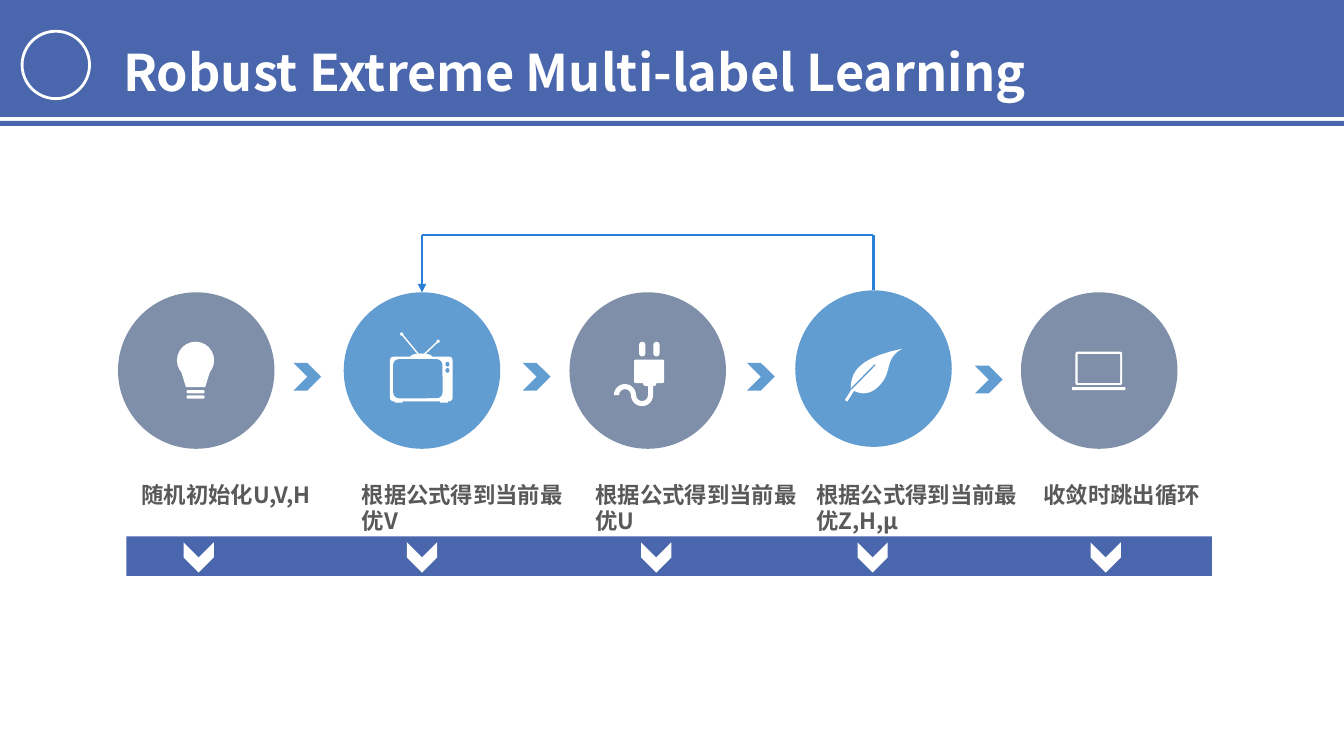
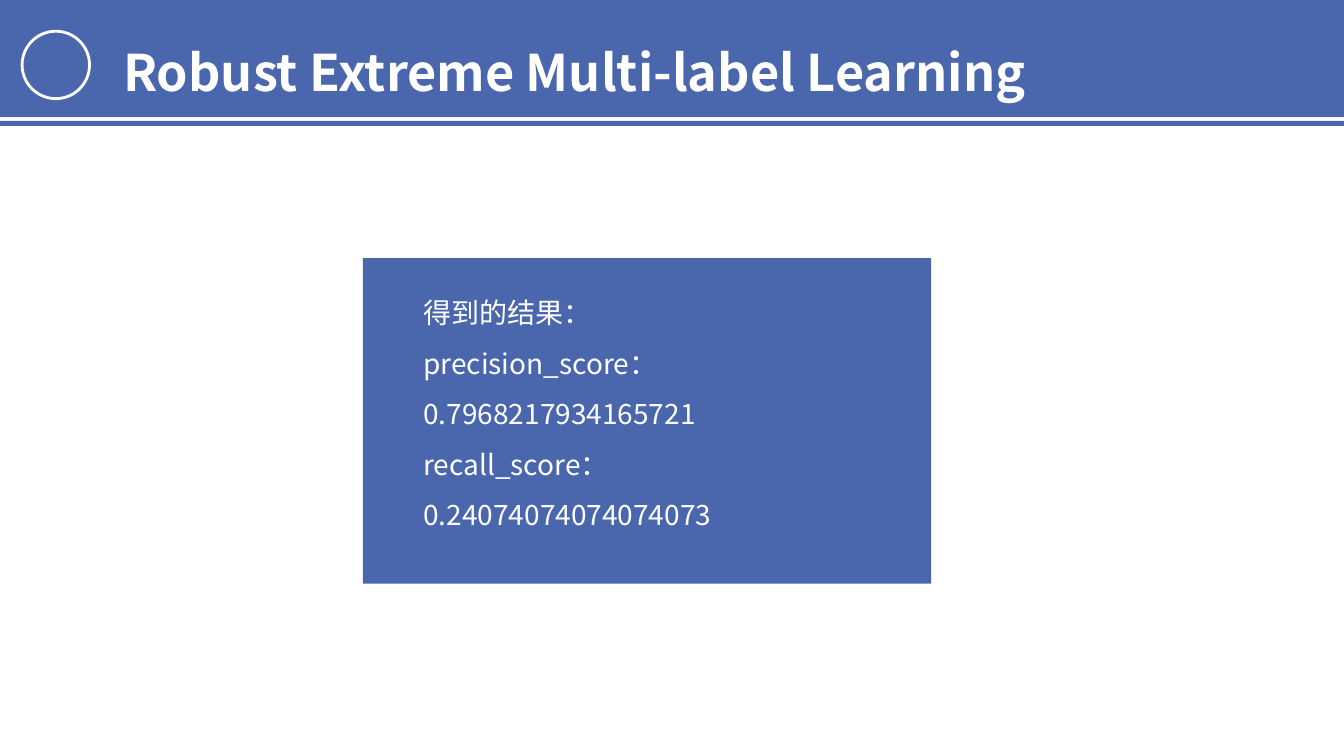
import collections
import pptx
import pptx.util
import pptx.dml.color
import pptx.enum.shapes
import pptx.enum.text
import pptx.oxml.ns
import lxml.etree

Pt = pptx.util.Pt
RGBColor = pptx.dml.color.RGBColor
KIND = pptx.enum.shapes.MSO_SHAPE
STRAIGHT = pptx.enum.shapes.MSO_CONNECTOR.STRAIGHT
qn = pptx.oxml.ns.qn

INDIGO = RGBColor(0x4A, 0x66, 0xAC)
SLATE = RGBColor(0x7F, 0x8F, 0xA9)
SKY = RGBColor(0x62, 0x9D, 0xD1)
LOOP_BLUE = RGBColor(0x29, 0x7F, 0xD5)
GREY = RGBColor(0x59, 0x59, 0x59)
WHITE = RGBColor(0xFF, 0xFF, 0xFF)
FONT = "Noto Sans CJK SC"
TITLE = "Robust Extreme Multi-label Learning"
SLIDE_WIDTH, SLIDE_HEIGHT = 960, 540

FRAME_FORMAT = {
    "word_wrap": True,
    "auto_size": pptx.enum.text.MSO_AUTO_SIZE.NONE,
    "vertical_anchor": pptx.enum.text.MSO_ANCHOR.TOP,
    "margin_left": Pt(7.2),
    "margin_right": Pt(7.2),
    "margin_top": Pt(3.6),
    "margin_bottom": Pt(3.6),
}


def draw(shapes, kind, center_x, center_y, width, height, fill, adjustment=None, rotation=0):
    left, top = center_x - width / 2, center_y - height / 2
    shape = shapes.add_shape(kind, Pt(left), Pt(top), Pt(width), Pt(height))
    shape.shadow.inherit = False
    shape.fill.solid()
    shape.fill.fore_color.rgb = fill
    shape.line.fill.background()
    shape.rotation = rotation
    if adjustment is not None:
        shape.adjustments[0] = adjustment
    return shape


def write(frame, lines, size, color, bold=False, spacing=1.0, **margins):
    for name, value in {**FRAME_FORMAT, **margins}.items():
        setattr(frame, name, value)
    frame.text = "\n".join(lines)
    paragraph_format = {
        "alignment": pptx.enum.text.PP_ALIGN.LEFT,
        "line_spacing": spacing,
        "space_before": Pt(0),
    }
    for paragraph in frame.paragraphs:
        for name, value in paragraph_format.items():
            setattr(paragraph, name, value)
        run = paragraph.runs[0]
        for name, value in {"name": FONT, "size": Pt(size), "bold": bold}.items():
            setattr(run.font, name, value)
        run.font.color.rgb = color
        lxml.etree.SubElement(run._r.get_or_add_rPr(), qn("a:ea")).set("typeface", FONT)


deck = pptx.Presentation()
deck.slide_width, deck.slide_height = Pt(SLIDE_WIDTH), Pt(SLIDE_HEIGHT)
process = deck.slides.add_slide(deck.slide_layouts[5])
results = deck.slides.add_slide(deck.slide_layouts[1])
shapes = process.shapes
master = deck.slide_master

band = draw(shapes, KIND.RECTANGLE, SLIDE_WIDTH / 2, 41.75, SLIDE_WIDTH, 83.5, INDIGO)
rule = draw(shapes, KIND.RECTANGLE, SLIDE_WIDTH / 2, 88.2, SLIDE_WIDTH, 3.6, INDIGO)
badge = draw(shapes, KIND.OVAL, 39.9, 46.4, 48.2, 48.2, INDIGO)
badge.line.color.rgb = WHITE
badge.line.width = Pt(2)
for order, part in enumerate((band, rule, badge)):
    part.element.xpath(".//p:cNvPr")[0].set("id", str(100 + order))
    master.shapes.element.insert(2 + order, part.element)

title_place = {"left": Pt(80.8), "top": Pt(4.3), "width": Pt(720), "height": Pt(66.2)}
for placeholder in master.placeholders:
    if placeholder.placeholder_format.type == pptx.enum.shapes.PP_PLACEHOLDER.TITLE:
        for name, value in title_place.items():
            setattr(placeholder, name, value)
for slide in deck.slides:
    write(slide.shapes.title.text_frame, [TITLE], 36, WHITE, bold=True, spacing=1.5)

FIRST_CENTER, STEP_PITCH, STEP_MIDDLE, DIAMETER = 140.2, 161.25, 264.7, 111.8
NEXT_SIZE, NEXT_MIDDLE = 19.8, 269.1
BAR_MIDDLE, MARKER_SIZE = 397.3, 21.6

draw(shapes, KIND.RECTANGLE, 478, BAR_MIDDLE, 775.5, 28.2, INDIGO)

Step = collections.namedtuple("Step", "caption caption_left marker_x fill rise next_x next_drop")
steps = [
    Step("随机初始化U,V,H", 94, 141.9, SLATE, 0, 219.5, 0),
    Step("根据公式得到当前最优V", 251.3, 301.4, SKY, 0, 383.3, 0),
    Step("根据公式得到当前最优U", 418.3, 468.7, SLATE, 0, 543.5, 0),
    Step("根据公式得到当前最优Z,H,μ", 576, 623.3, SKY, 1.4, 706.3, 2),
    Step("收敛时跳出循环", 738.3, 789.8, SLATE, 0, None, 0),
]
circles, centers = [], []
for index, step in enumerate(steps):
    center = FIRST_CENTER + STEP_PITCH * index, STEP_MIDDLE - step.rise
    centers.append(center)
    circles.append(draw(shapes, KIND.OVAL, *center, DIAMETER, DIAMETER, step.fill))
    caption = shapes.add_textbox(Pt(step.caption_left), Pt(339.8), Pt(162.7), Pt(46))
    write(caption.text_frame, [step.caption], 16, GREY, bold=True)
    draw(shapes, KIND.CHEVRON, step.marker_x, BAR_MIDDLE + 0.9, MARKER_SIZE, MARKER_SIZE,
         WHITE, rotation=90)
    if step.next_x:
        draw(shapes, KIND.CHEVRON, step.next_x, NEXT_MIDDLE + step.next_drop,
             NEXT_SIZE, NEXT_SIZE, SKY)

bulb, television, plug, leaf, laptop = centers
links = []

x, y = bulb
draw(shapes, KIND.OVAL, x - 0.5, y - 7.3, 26.6, 26.6, WHITE)
draw(shapes, KIND.FLOWCHART_MANUAL_OPERATION, x - 0.5, y + 4.3, 23, 15, WHITE)
for thread in range(2):
    draw(shapes, KIND.ROUNDED_RECTANGLE, x - 0.5, y + 15.1 + 3.8 * thread, 13, 2.4, WHITE, 0.5)

x, y = television
for tip_x, tip_y, root_x in ((-14.5, -26.1, -2), (11.5, -20.9, 1)):
    draw(shapes, KIND.OVAL, x + tip_x, y + tip_y, 2.3, 2.3, WHITE)
    links.append(((x + tip_x, y + tip_y), (x + root_x, y - 11), WHITE, 1))
draw(shapes, KIND.OVAL, x - 0.5, y - 9.7, 16, 5, WHITE)
draw(shapes, KIND.ROUNDED_RECTANGLE, x - 0.5, y + 6, 44.8, 32, WHITE, 0.08)
draw(shapes, KIND.ROUNDED_RECTANGLE, x - 3, y + 5.8, 35.3, 28, SKY, 0.15)
for side in (-1, 1):
    draw(shapes, KIND.OVAL, x + 18.2, y - 2.3 + 2.2 * side, 2.9, 3.4, SKY)
    draw(shapes, KIND.RECTANGLE, x - 0.5 + 16.2 * side, y + 22.3, 5.6, 1.2, WHITE)

x, y = plug
for side in (-1, 1):
    draw(shapes, KIND.ROUNDED_RECTANGLE, x + 1.1 + 5.1 * side, y - 15.3, 4.5, 10.5, WHITE, 0.5)
draw(shapes, KIND.ROUNDED_RECTANGLE, x + 1, y + 0.5, 21.6, 16.8, WHITE, 0.08)
draw(shapes, KIND.ROUNDED_RECTANGLE, x + 1.4, y + 8.9, 9.4, 4.3, WHITE, 0.4)
CORD, BEND = 3.6, 12.2
ring, cord_x, cord_y = BEND + CORD, x + 2, y + 17.5
draw(shapes, KIND.RECTANGLE, cord_x, cord_y - 4, CORD, 8.2, WHITE)
for bend, rotation in enumerate((180, 0)):
    half_ring = draw(shapes, KIND.BLOCK_ARC, cord_x - BEND * (bend + 0.5), cord_y, ring, ring,
                     WHITE, rotation=rotation)
    half_ring.adjustments[2] = CORD / ring

x, y = leaf
tip, base, belly = (20.4, -14.2), (-16.3, 14.6), (4.6, 11.7)
leaf_edges = [
    (tip, (-10.6, -7.7), (-16.3, 2.4), base),
    (base, (-8, 20), (-1, 17.8), belly),
    (belly, (13.9, 1.7), (7.4, -7), tip),
]
rim = []
for edge in leaf_edges:
    for tick in range(1, 11):
        t = tick / 10
        weights = (1 - t) ** 3, 3 * t * (1 - t) ** 2, 3 * t * t * (1 - t), t ** 3
        dx, dy = (sum(w * v for w, v in zip(weights, axis)) for axis in zip(*edge))
        rim.append((Pt(x + dx), Pt(y + dy)))
builder = shapes.build_freeform(*rim[-1])
builder.add_line_segments(rim, close=True)
blade = builder.convert_to_shape()
blade.shadow.inherit = False
blade.fill.solid()
blade.fill.fore_color.rgb = WHITE
blade.line.fill.background()
links.append(((x - 16.3, y + 15), (x + 1, y - 2.7), SKY, 1))
links.append(((x - 19.6, y + 23), (x - 14.6, y + 15), WHITE, 2))

x, y = laptop
draw(shapes, KIND.ROUNDED_RECTANGLE, x - 0.3, y - 1.6, 33.4, 23.8, WHITE, 0.06)
draw(shapes, KIND.RECTANGLE, x - 0.3, y - 1.5, 30.4, 20.6, SLATE)
draw(shapes, KIND.RECTANGLE, x - 0.3, y + 12.9, 38, 2.3, WHITE)

LOOP_TOP = 167.8
loop_to, loop_from = (television[0], LOOP_TOP), (leaf[0], LOOP_TOP)
back = len(links)
links += [
    (loop_from, loop_to, LOOP_BLUE, 1.5),
    (loop_to, television, LOOP_BLUE, 1.5),
    (loop_from, leaf, LOOP_BLUE, 1.5),
]
joined = {back + 1: circles[1], back + 2: circles[3]}
arrow = back + 1
for index, (begin, end, color, width) in enumerate(links):
    link = shapes.add_connector(STRAIGHT, *map(Pt, begin + end))
    link.line.color.rgb = color
    link.line.width = Pt(width)
    if index in joined:
        link.end_connect(joined[index], 0)
    properties = link.element.spPr
    if index == arrow:
        lxml.etree.SubElement(properties.find(qn("a:ln")), qn("a:tailEnd")).set("type", "triangle")
    lxml.etree.SubElement(properties, qn("a:effectLst"))

scores = results.placeholders[1]
panel = {"left": Pt(259.2), "top": Pt(184.3), "width": Pt(406), "height": Pt(232.6)}
for name, value in panel.items():
    setattr(scores, name, value)
scores.fill.solid()
scores.fill.fore_color.rgb = INDIGO
score_lines = [
    "得到的结果：",
    "precision_score：0.7968217934165721",
    "recall_score：0.24074074074074073",
]
write(scores.text_frame, score_lines, 20, WHITE, spacing=1.5,
      margin_left=Pt(43.2), margin_top=Pt(15.1), margin_right=Pt(67.7))
for paragraph in scores.text_frame.paragraphs:
    properties = paragraph._p.get_or_add_pPr()
    for name in ("marL", "indent"):
        properties.set(name, "0")
    lxml.etree.SubElement(properties, qn("a:buNone"))

deck.save("out.pptx")
